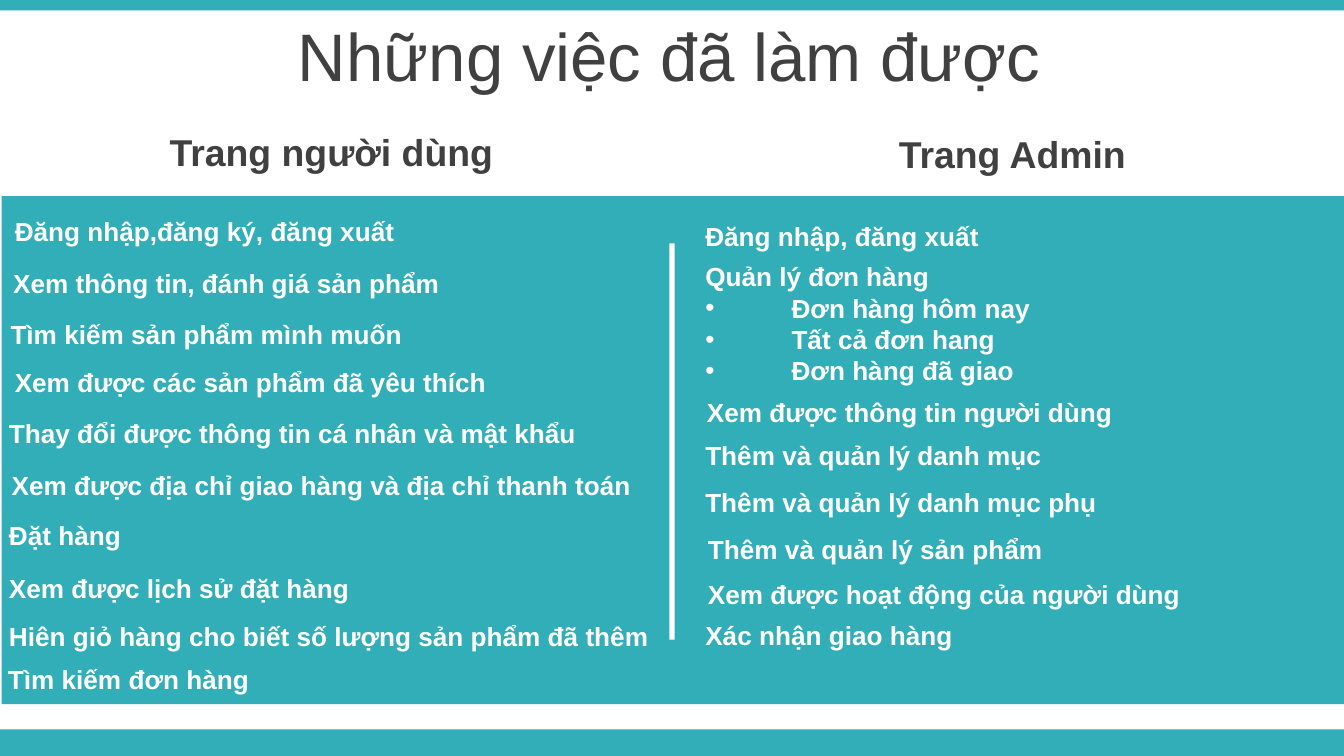
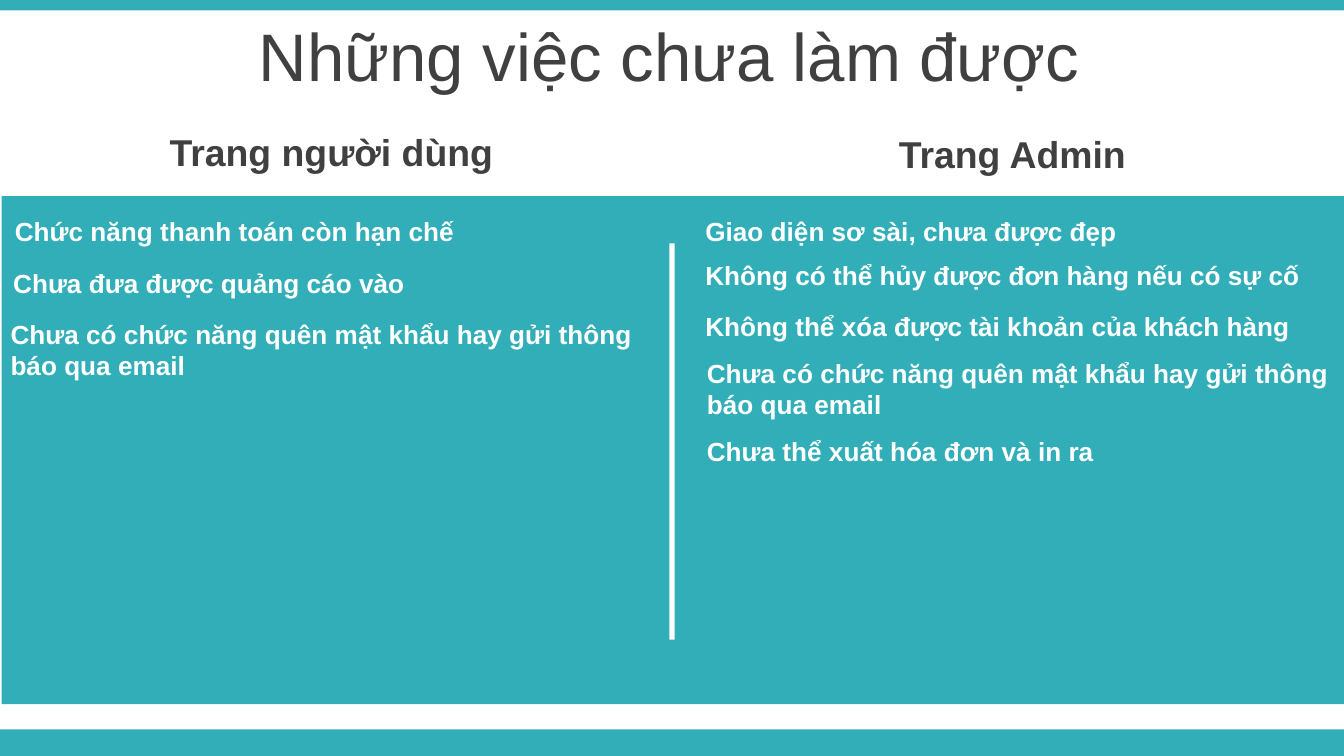
from lxml.etree import SubElement
from pptx import Presentation
from pptx.dml.color import RGBColor
from pptx.enum.shapes import MSO_SHAPE as Shape
from pptx.enum.text import MSO_ANCHOR as Anchor, MSO_AUTO_SIZE as AutoSize, PP_ALIGN as Align
from pptx.oxml.ns import qn
from pptx.util import Cm, Pt

TEAL, WHITE, DARK = "32AEB8", "FFFFFF", "404040"
FONT = "Arial"
WIDTH, HEIGHT = 25.4, 14.29
LINE_HEIGHT, LINE_STEP = 0.86, 0.59
BULLET_INDENT = 1.63
USER, ADMIN = "Trang người dùng", "Trang Admin"
PASSWORD_GAP = "Chưa có chức năng quên mật khẩu hay gửi thông báo qua email"

DONE_USER = [
    (0.03, 3.94, 8.41, "Đăng nhập,đăng ký, đăng xuất"),
    (0, 4.93, 8.89, "Xem thông tin, đánh giá sản phẩm"),
    (-0.05, 5.89, 8.89, "Tìm kiếm sản phẩm mình muốn"),
    (0.03, 6.81, 9.5, "Xem được các sản phẩm đã yêu thích"),
    (-0.08, 7.77, 11.38, "Thay đổi được thông tin cá nhân và mật khẩu"),
    (-0.03, 8.74, 12.52, "Xem được địa chỉ giao hàng và địa chỉ thanh toán"),
    (-0.08, 9.7, 11.38, "Đặt hàng"),
    (-0.08, 10.69, 11.38, "Xem được lịch sử đặt hàng"),
    (-0.08, 11.61, 13.36, "Hiên giỏ hàng cho biết số lượng sản phẩm đã thêm"),
    (-0.1, 12.42, 13.36, "Tìm kiếm đơn hàng"),
]
DONE_ADMIN = [
    (13.08, 4.04, 8.41, "Đăng nhập, đăng xuất"),
    (13.08, 4.8, 8.41, "Quản lý đơn hàng\nĐơn hàng hôm nay\nTất cả đơn hang\nĐơn hàng đã giao", 4),
    (13.11, 7.37, 8.41, "Xem được thông tin người dùng"),
    (13.08, 8.18, 8.41, "Thêm và quản lý danh mục"),
    (13.08, 9.07, 8.41, "Thêm và quản lý danh mục phụ"),
    (13.13, 9.96, 8.41, "Thêm và quản lý sản phẩm"),
    (13.13, 10.8, 10.16, "Xem được hoạt động của người dùng"),
    (13.08, 11.58, 8.41, "Xác nhận giao hàng"),
]
TODO_USER = [
    (0.03, 3.94, 9.88, "Chức năng thanh toán còn hạn chế"),
    (0, 4.93, 8.89, "Chưa đưa được quảng cáo vào"),
    (-0.05, 5.89, 12.37, PASSWORD_GAP, 2),
]
TODO_ADMIN = [
    (13.08, 3.94, 8.41, "Giao diện sơ sài, chưa được đẹp"),
    (13.08, 4.78, 12.01, "Không có thể hủy được đơn hàng nếu có sự cố"),
    (13.08, 5.74, 12.27, "Không thể xóa được tài khoản của khách hàng"),
    (13.11, 6.63, 12.4, PASSWORD_GAP, 2),
    (13.11, 8.1, 8.41, "Chưa thể xuất hóa đơn và in ra"),
]


def color(value):
    """Turn a hex string into a colour."""
    return RGBColor.from_string(value)


def write(paragraph, text, size=14, ink=WHITE, bold=True, align=Align.LEFT, before=0):
    """Add formatted text to a paragraph."""
    run = paragraph.add_run()
    run.text = text
    run.font.name = FONT
    run.font.size = Pt(size)
    run.font.bold = bold
    run.font.color.rgb = color(ink)
    paragraph.alignment = align
    paragraph.space_before = Pt(before)


def add_bullet(paragraph):
    """Give a paragraph a hanging bullet."""
    props = paragraph._p.get_or_add_pPr()
    props.set("marL", str(Cm(BULLET_INDENT)))
    props.set("indent", str(-Cm(BULLET_INDENT)))
    SubElement(props, qn("a:buFont")).set("typeface", FONT)
    SubElement(props, qn("a:buChar")).set("char", "•")


class Deck:
    """Hold the shared style and the current slide."""

    def __init__(self):
        """Open an empty presentation of the right size."""
        self.show = Presentation()
        self.show.slide_width, self.show.slide_height = Cm(WIDTH), Cm(HEIGHT)
        self.slide = None

    def block(self, left, top, width, height, fill=TEAL):
        """Draw a plain filled rectangle."""
        area = self.slide.shapes.add_shape(
            Shape.RECTANGLE, Cm(left), Cm(top), Cm(width), Cm(height))
        area.shadow.inherit = False
        area.fill.solid()
        area.fill.fore_color.rgb = color(fill)
        area.line.fill.background()

    def frame(self, left, top, width, height):
        """Add a wrapping text box and return its text frame."""
        box = self.slide.shapes.add_textbox(Cm(left), Cm(top), Cm(width), Cm(height))
        box.text_frame.word_wrap = True
        return box.text_frame

    def heading(self, text, left, top, width, size, bold=True):
        """Write a centred dark heading."""
        frame = self.frame(left, top, width, 1.6)
        frame.vertical_anchor = Anchor.MIDDLE
        write(frame.paragraphs[0], text, size=size, ink=DARK, bold=bold,
              align=Align.CENTER, before=size * 0.2)

    def entry(self, left, top, width, text, lines=1):
        """Write one feature, with any further lines as bullets."""
        frame = self.frame(left, top, width, LINE_HEIGHT + LINE_STEP * (lines - 1))
        frame.auto_size = AutoSize.SHAPE_TO_FIT_TEXT
        feature, *details = text.split("\n")
        write(frame.paragraphs[0], feature)
        for detail in details:
            paragraph = frame.add_paragraph()
            write(paragraph, detail)
            add_bullet(paragraph)

    def comparison(self, title, user_entries, admin_entries):
        """Build a slide that sets user features beside admin features."""
        self.slide = self.show.slides.add_slide(self.show.slide_layouts[6])
        self.block(0, 13.79, WIDTH, 0.5)
        self.block(0, 0, WIDTH, 0.2)
        self.heading(title, -0.05, 0.23, WIDTH, size=36, bold=False)
        self.block(0.03, 3.71, WIDTH, 9.6)
        self.block(12.65, 4.6, 0.1, 7.49, fill=WHITE)
        self.heading(USER, 0.03, 2.06, 12.47, size=20)
        self.heading(ADMIN, 12.9, 2.11, 12.47, size=20)
        for entry in user_entries + admin_entries:
            self.entry(*entry)


def main():
    """Build both slides and save them."""
    deck = Deck()
    deck.comparison("Những việc đã làm được", DONE_USER, DONE_ADMIN)
    deck.comparison("Những việc chưa làm được", TODO_USER, TODO_ADMIN)
    deck.show.save("out.pptx")


if __name__ == "__main__":
    main()
